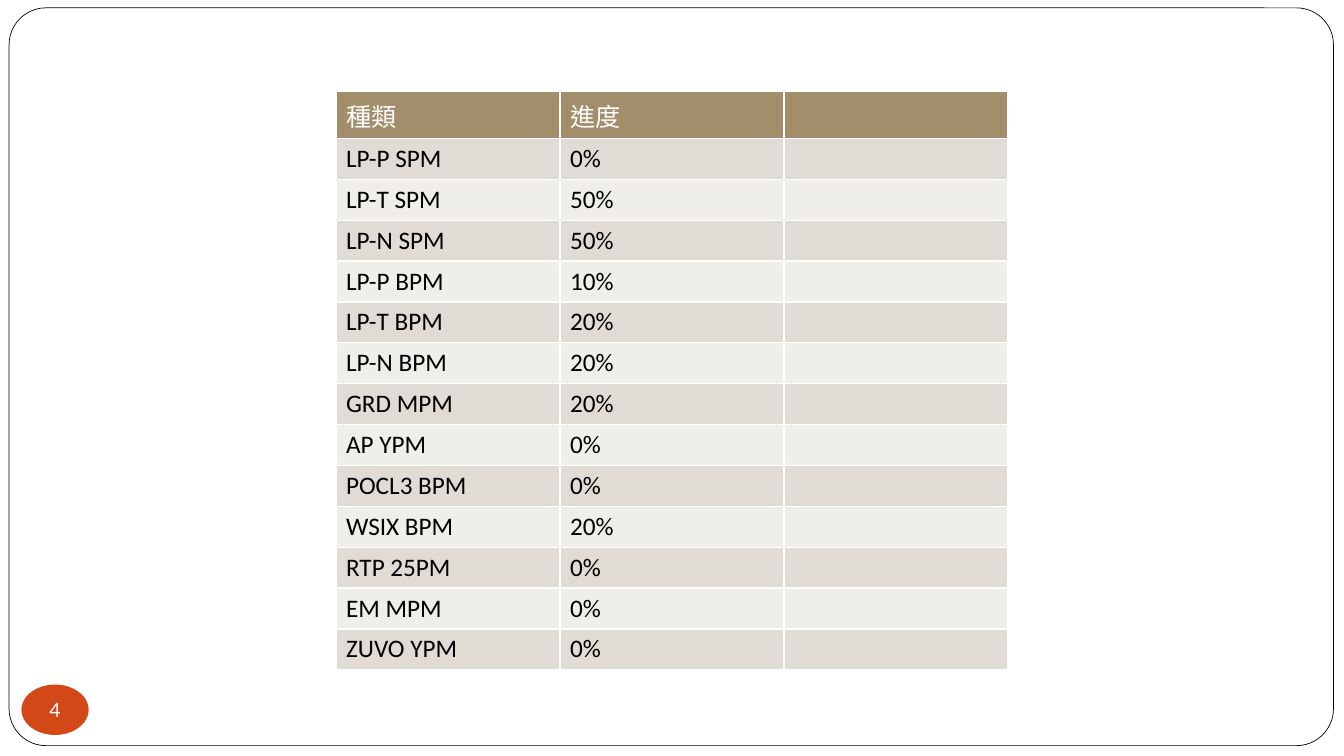
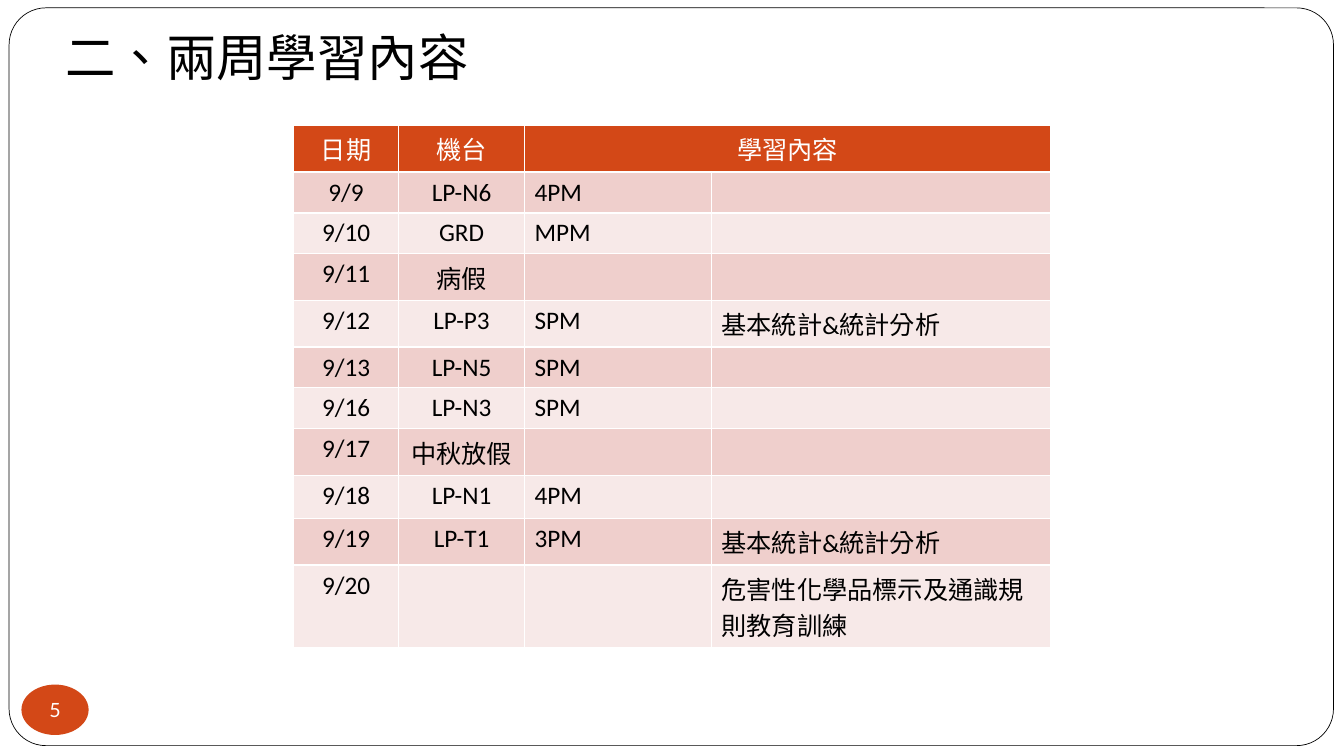
"""Build two slides: a maintenance progress table and a two-week learning log."""
from lxml import etree
from pptx import Presentation
from pptx.dml.color import RGBColor
from pptx.enum.shapes import MSO_SHAPE
from pptx.enum.text import MSO_ANCHOR, PP_ALIGN
from pptx.oxml.ns import qn
from pptx.util import Pt

CENTER, LEFT = PP_ALIGN.CENTER, PP_ALIGN.LEFT
MIDDLE = MSO_ANCHOR.MIDDLE
ROUNDED, OVAL = MSO_SHAPE.ROUNDED_RECTANGLE, MSO_SHAPE.OVAL

COLORS = {
    "white": "FFFFFF", "black": "000000", "orange": "D34817",
    "tan": "A28E6A", "tan_dark": "E0DBD4", "tan_light": "F0EEEB",
    "rose_dark": "EFCFCC", "rose_light": "F7E9E8",
}
BODY_FONT, NUMBER_FONT = "Calibri", "Lato"
LANGUAGE = "zh-TW"
LATIN_ROW, CJK_ROW = 29.17, 33.1

PROGRESS = {
    "left": 240, "top": 65.6, "columns": [160, 160, 160],
    "aligns": [LEFT, LEFT, LEFT],
    "heights": [CJK_ROW] + [LATIN_ROW] * 13,
    "fills": ("tan", "tan_dark", "tan_light"),
    "merge": None,
    "rows": [
        ("種類", "進度", ""),
        ("LP-P SPM", "0%", ""),
        ("LP-T SPM", "50%", ""),
        ("LP-N SPM", "50%", ""),
        ("LP-P BPM", "10%", ""),
        ("LP-T BPM", "20%", ""),
        ("LP-N BPM", "20%", ""),
        ("GRD MPM", "20%", ""),
        ("AP YPM", "0%", ""),
        ("POCL3 BPM", "0%", ""),
        ("WSIX BPM", "20%", ""),
        ("RTP 25PM", "0%", ""),
        ("EM MPM", "0%", ""),
        ("ZUVO YPM", "0%", ""),
    ],
}
LEARNING = {
    "left": 209.7, "top": 89.6, "columns": [75, 90, 133.5, 242.5],
    "aligns": [CENTER, CENTER, LEFT, LEFT],
    "heights": [CJK_ROW, LATIN_ROW, LATIN_ROW, CJK_ROW, CJK_ROW, LATIN_ROW,
                LATIN_ROW, CJK_ROW, 30.8, CJK_ROW, 59],
    "fills": ("orange", "rose_dark", "rose_light"),
    "merge": (2, 3),
    "rows": [
        ("日期", "機台", "學習內容", ""),
        ("9/9", "LP-N6", "4PM", ""),
        ("9/10", "GRD", "MPM", ""),
        ("9/11", "病假", "", ""),
        ("9/12", "LP-P3", "SPM", "基本統計&統計分析"),
        ("9/13", "LP-N5", "SPM", ""),
        ("9/16", "LP-N3", "SPM", ""),
        ("9/17", "中秋放假", "", ""),
        ("9/18", "LP-N1", "4PM", ""),
        ("9/19", "LP-T1", "3PM", "基本統計&統計分析"),
        ("9/20", "", "", "危害性化學品標示及通識規則教育訓練"),
    ],
}
SLIDES = [(4, None, PROGRESS), (5, "二、兩周學習內容", LEARNING)]


def rgb(name):
    return RGBColor.from_string(COLORS[name])


def style_text(paragraph, size, color, font=BODY_FONT, align=LEFT):
    paragraph.alignment = align
    for run in paragraph.runs:
        run.font.size = Pt(size)
        run.font.name = font
        run.font.color.rgb = rgb(color)
        run._r.get_or_add_rPr().set("lang", LANGUAGE)


def add_plain_shape(slide, kind, box, fill):
    shape = slide.shapes.add_shape(kind, *map(Pt, box))
    shape.shadow.inherit = False
    shape.fill.solid()
    shape.fill.fore_color.rgb = rgb(fill)
    return shape


def add_frame(slide):
    frame = add_plain_shape(slide, ROUNDED, (6.5, 5.6, 946, 527), "white")
    frame.adjustments[0] = 0.05
    frame.line.color.rgb = rgb("black")
    frame.line.width = Pt(0.5)


def add_page_number(slide, number):
    badge = add_plain_shape(slide, OVAL, (15.3, 489, 48, 36), "orange")
    badge.line.fill.background()
    text = badge.text_frame
    text.margin_left = text.margin_right = text.margin_top = text.margin_bottom = 0
    text.word_wrap = False
    text.vertical_anchor = MIDDLE
    text.text = str(number)
    style_text(text.paragraphs[0], 14, "white", NUMBER_FONT, CENTER)


def add_title(slide, title):
    box = slide.shapes.add_textbox(Pt(39.6), Pt(15), Pt(313), Pt(51))
    box.text_frame.text = title
    style_text(box.text_frame.paragraphs[0], 36, "black")


def set_borders(cell):
    properties = cell._tc.get_or_add_tcPr()
    for side in "LRTB":
        line = etree.SubElement(properties, qn(f"a:ln{side}"), w=str(Pt(1)))
        fill = etree.SubElement(line, qn("a:solidFill"))
        etree.SubElement(fill, qn("a:srgbClr"), val=COLORS["white"])


def add_grid(slide, content):
    rows, columns, heights = content["rows"], content["columns"], content["heights"]
    grid = slide.shapes.add_table(
        len(rows), len(columns), Pt(content["left"]), Pt(content["top"]),
        Pt(sum(columns)), Pt(sum(heights))).table
    for column, width in zip(grid.columns, columns):
        column.width = Pt(width)
    header, odd, even = content["fills"]
    for r, (row, height) in enumerate(zip(rows, heights)):
        grid.rows[r].height = Pt(height)
        is_header = r == 0
        fill = header if is_header else odd if r % 2 else even
        for c, (value, align) in enumerate(zip(row, content["aligns"])):
            cell = grid.cell(r, c)
            set_borders(cell)
            cell.fill.solid()
            cell.fill.fore_color.rgb = rgb(fill)
            if value:
                cell.text_frame.text = value
                style_text(cell.text_frame.paragraphs[0], 18,
                           "white" if is_header else "black", align=align)
    if content["merge"]:
        first, last = content["merge"]
        grid.cell(0, first).merge(grid.cell(0, last))
        grid.cell(0, first).text_frame.paragraphs[0].alignment = CENTER


def main():
    deck = Presentation()
    deck.slide_width, deck.slide_height = Pt(960), Pt(540)
    for number, title, content in SLIDES:
        slide = deck.slides.add_slide(deck.slide_layouts[6])
        add_frame(slide)
        add_page_number(slide, number)
        add_grid(slide, content)
        if title:
            add_title(slide, title)
    deck.save("out.pptx")


if __name__ == "__main__":
    main()
